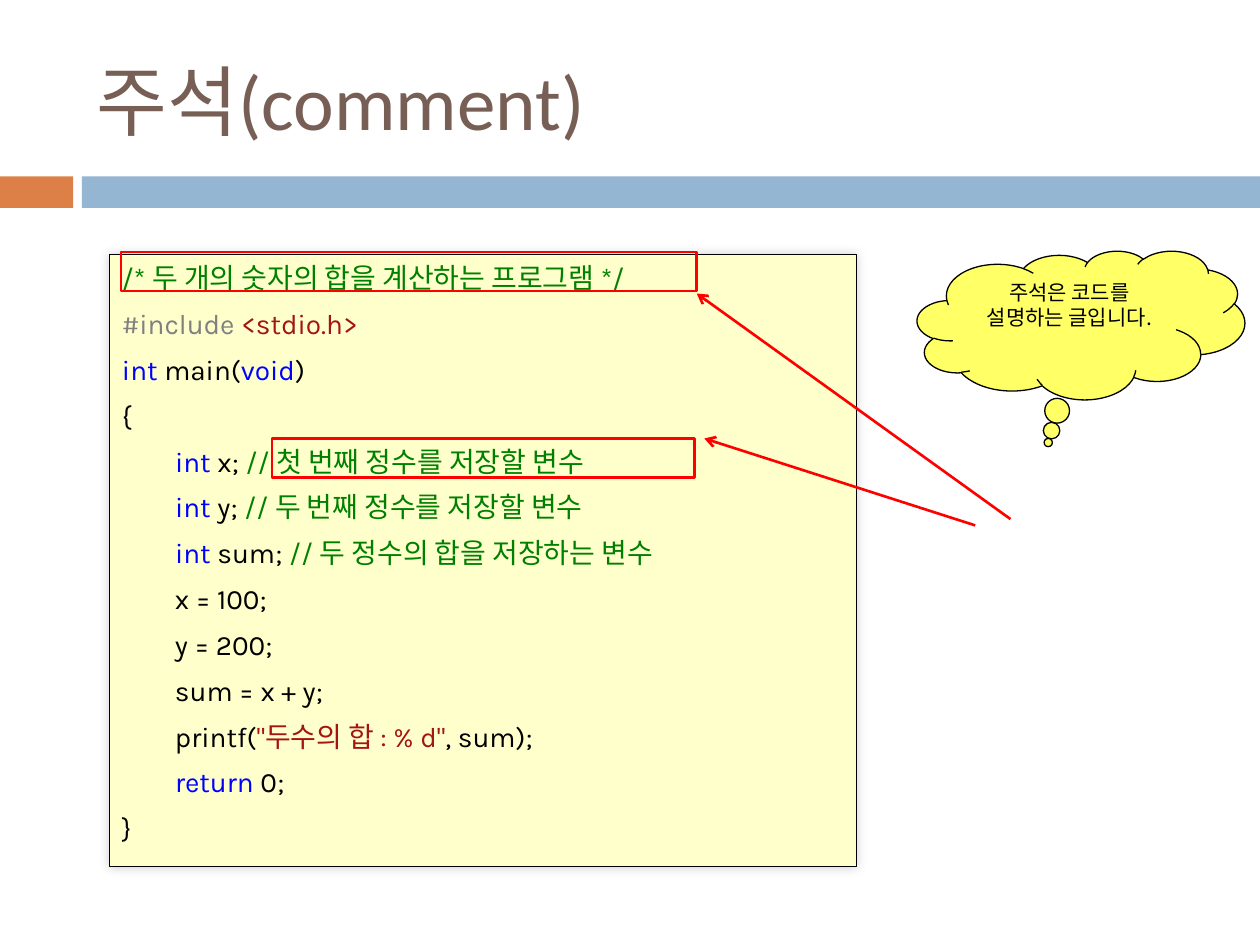
from lxml.etree import SubElement
from pptx import Presentation
from pptx.dml.color import RGBColor
from pptx.enum.shapes import MSO_CONNECTOR, MSO_SHAPE
from pptx.enum.text import MSO_ANCHOR, PP_ALIGN
from pptx.oxml.ns import qn
from pptx.util import Inches, Pt

# Content: code lines are lists of (text, colour role)
TITLE = "주석(comment)"
NOTE = "주석은 코드를 설명하는 글입니다."
INDENT = " " * 8


def declaration(name, comment):
    return [(INDENT, "plain"), ("int ", "keyword"), (f"{name}; ", "plain"),
            (f"// {comment}", "comment")]


CODE = [
    [("/* 두 개의 숫자의 합을 계산하는 프로그램 */", "comment")],
    [("#include ", "directive"), ("<stdio.h>", "string")],
    [("int", "keyword"), (" main(", "plain"), ("void", "keyword"), (")", "plain")],
    [("{", "plain")],
    declaration("x", "첫 번째 정수를 저장할 변수"),
    declaration("y", "두 번째 정수를 저장할 변수"),
    declaration("sum", "두 정수의 합을 저장하는 변수"),
    [(INDENT + "x = 100;", "plain")],
    [(INDENT + "y = 200;", "plain")],
    [(INDENT + "sum = x + y;", "plain")],
    [(INDENT + "printf(", "plain"), ('"두수의 합 : % d"', "string"), (", sum);", "plain")],
    [(INDENT, "plain"), ("return", "keyword"), (" 0;", "plain")],
    [("}", "plain")],
]

# Places in inches
BANDS = [((0, 1.4, 0.58, 0.25), "accent"), ((0.65, 1.4, 9.35, 0.25), "band")]
TITLE_BOX = (0.67, 0.25, 8.92, 1.08)
CODE_BOX = (0.87, 2.02, 5.93, 4.86)
CLOUD_BOX = (7.28, 1.99, 2.6, 1.18)
MARKS = [(0.96, 2, 4.57, 0.31), (2.16, 3.48, 3.35, 0.31)]
ARROWS = [(5.53, 2.33, 8.02, 4.12), (5.59, 3.48, 7.74, 4.17)]

THEME = {
    "colors": {
        "accent": "DD8047", "band": "94B6D2", "title": "775F55",
        "paper": "FFFFCC", "cloud": "FFFF66", "mark": "FF0000",
        "plain": "000000", "comment": "008000", "directive": "808080",
        "string": "A31515", "keyword": "0000FF",
    },
    "title": {"name": "Calibri", "size": Pt(44)},
    "code": {"name": "Karla", "size": Pt(16)},
    "note": {"name": "Noto Sans CJK KR", "size": Pt(12)},
    "code_spacing": {"line_spacing": Pt(19.2), "alignment": PP_ALIGN.LEFT},
}


def color(role):
    return RGBColor.from_string(THEME["colors"][role])


def set_all(obj, values):
    for name, value in values.items():
        setattr(obj, name, value)


def add_run(p, text, style, role):
    r = p.add_run()
    r.text = text
    set_all(r.font, THEME[style])
    r.font.color.rgb = color(role)


def add_shape(slide, kind, box, fill=None, line=None, width=0.75):
    sp = slide.shapes.add_shape(kind, *map(Inches, box))
    sp.shadow.inherit = False
    if fill:
        sp.fill.solid()
        sp.fill.fore_color.rgb = color(fill)
    else:
        sp.fill.background()
    if line:
        sp.line.color.rgb = color(line)
        sp.line.width = Pt(width)
    else:
        sp.line.fill.background()
    return sp


def add_soft_shadow(sp):
    effects = sp._element.spPr.find(qn("a:effectLst"))
    shadow = SubElement(effects, qn("a:outerShdw"), blurRad=str(Pt(6)),
                        dist="0", dir="18900000", rotWithShape="0")
    clr = SubElement(shadow, qn("a:srgbClr"), val=THEME["colors"]["plain"])
    SubElement(clr, qn("a:alpha"), val="20000")


def add_arrow(slide, points):
    cn = slide.shapes.add_connector(MSO_CONNECTOR.STRAIGHT, *map(Inches, points))
    cn.line.color.rgb = color("mark")
    cn.line.width = Pt(1.5)
    SubElement(cn.line._get_or_add_ln(), qn("a:headEnd"), type="arrow")
    SubElement(cn._element.spPr, qn("a:effectLst"))


def main():
    prs = Presentation()
    prs.slide_width, prs.slide_height = Inches(10), Inches(7.5)
    slide = prs.slides.add_slide(prs.slide_layouts[6])

    # Header bands and title
    for box, role in BANDS:
        add_shape(slide, MSO_SHAPE.RECTANGLE, box, role)
    tf = slide.shapes.add_textbox(*map(Inches, TITLE_BOX)).text_frame
    set_all(tf, {"word_wrap": True, "vertical_anchor": MSO_ANCHOR.MIDDLE})
    add_run(tf.paragraphs[0], TITLE, "title", "title")

    # Code listing
    sp = add_shape(slide, MSO_SHAPE.RECTANGLE, CODE_BOX, "paper", "plain")
    add_soft_shadow(sp)
    tf = sp.text_frame
    set_all(tf, {"word_wrap": True, "vertical_anchor": MSO_ANCHOR.TOP})
    for i, line in enumerate(CODE):
        p = tf.add_paragraph() if i else tf.paragraphs[0]
        set_all(p, THEME["code_spacing"])
        p.space_before = Pt(7 if i else 0)
        for text, role in line:
            add_run(p, text, "code", role)

    # Thought cloud
    sp = add_shape(slide, MSO_SHAPE.CLOUD_CALLOUT, CLOUD_BOX, "cloud", "plain")
    sp.adjustments[0], sp.adjustments[1] = -0.1, 0.79
    tf = sp.text_frame
    set_all(tf, {"word_wrap": True, "vertical_anchor": MSO_ANCHOR.TOP})
    tf.paragraphs[0].alignment = PP_ALIGN.CENTER
    add_run(tf.paragraphs[0], NOTE, "note", "plain")

    # Marked comments and the arrows to them
    for box in MARKS:
        add_shape(slide, MSO_SHAPE.RECTANGLE, box, line="mark", width=1.5)
    for points in ARROWS:
        add_arrow(slide, points)

    prs.save("out.pptx")


if __name__ == "__main__":
    main()
